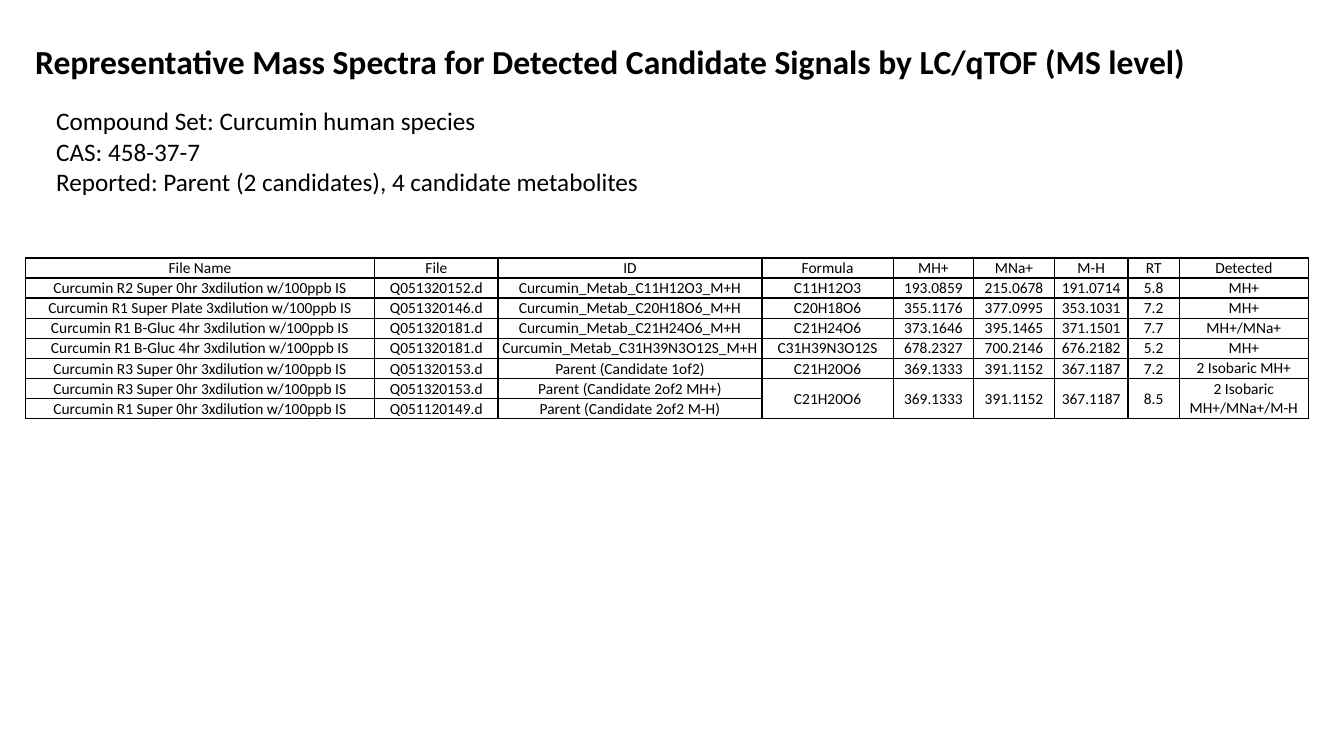
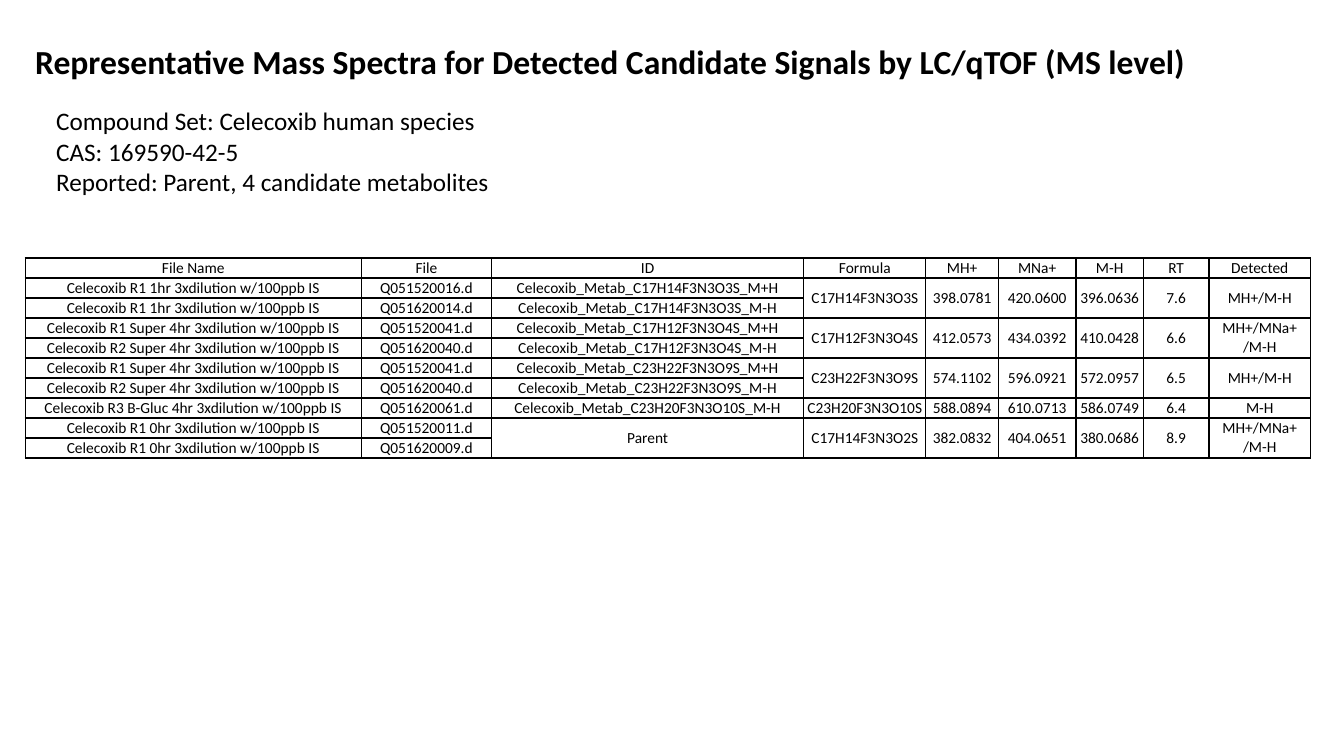
import pptx
import pptx.util
import pptx.dml.color
import pptx.enum.text
import pptx.oxml

Pt = pptx.util.Pt
ALIGN = pptx.enum.text.PP_ALIGN
ANCHOR = pptx.enum.text.MSO_ANCHOR
BLACK = "000000"
FONT = "Calibri"
TITLE = "Representative Mass Spectra for Detected Candidate Signals by LC/qTOF (MS level)"
HEADS = ["File Name", "File", "ID", "Formula", "MH+", "MNa+", "M-H", "RT", "Detected"]
ROW = 14.3
LOOKS = {
    "title": {"size": Pt(24), "name": FONT, "bold": True},
    "facts": {"size": Pt(18), "name": FONT, "bold": False},
    "cell": {"size": Pt(11), "name": FONT, "bold": False},
}
SETS = [
    {
        "drug": "Curcumin",
        "cas": "458-37-7",
        "found": "Parent (2 candidates), 4 candidate metabolites",
        "wide": [249.8, 87.9, 188.7, 93.6, 57.6, 57.6, 52.6, 36.7, 92.2],
        "rows": [
            ["R2 Super 0hr", "Q051320152.d", "Curcumin_Metab_C11H12O3_M+H",
             "C11H12O3", "193.0859", "215.0678", "191.0714", "5.8", "MH+"],
            ["R1 Super Plate", "Q051320146.d", "Curcumin_Metab_C20H18O6_M+H",
             "C20H18O6", "355.1176", "377.0995", "353.1031", "7.2", "MH+"],
            ["R1 B-Gluc 4hr", "Q051320181.d", "Curcumin_Metab_C21H24O6_M+H",
             "C21H24O6", "373.1646", "395.1465", "371.1501", "7.7", "MH+/MNa+"],
            ["R1 B-Gluc 4hr", "Q051320181.d", "Curcumin_Metab_C31H39N3O12S_M+H",
             "C31H39N3O12S", "678.2327", "700.2146", "676.2182", "5.2", "MH+"],
            ["R3 Super 0hr", "Q051320153.d", "Parent (Candidate 1of2)",
             "C21H20O6", "369.1333", "391.1152", "367.1187", "7.2", "2 Isobaric MH+"],
            ["R3 Super 0hr", "Q051320153.d", "Parent (Candidate 2of2 MH+)",
             "C21H20O6", "369.1333", "391.1152", "367.1187", "8.5", "2 Isobaric MH+/MNa+/M-H"],
            ["R1 Super 0hr", "Q051120149.d", "Parent (Candidate 2of2 M-H)"],
        ],
    },
    {
        "drug": "Celecoxib",
        "cas": "169590-42-5",
        "found": "Parent, 4 candidate metabolites",
        "wide": [240.2, 92.9, 223.1, 87.2, 51.8, 55.4, 48.2, 46.8, 72.7],
        "rows": [
            ["R1 1hr", "Q051520016.d", "Celecoxib_Metab_C17H14F3N3O3S_M+H",
             "C17H14F3N3O3S", "398.0781", "420.0600", "396.0636", "7.6", "MH+/M-H"],
            ["R1 1hr", "Q051620014.d", "Celecoxib_Metab_C17H14F3N3O3S_M-H"],
            ["R1 Super 4hr", "Q051520041.d", "Celecoxib_Metab_C17H12F3N3O4S_M+H",
             "C17H12F3N3O4S", "412.0573", "434.0392", "410.0428", "6.6", "MH+/MNa+ /M-H"],
            ["R2 Super 4hr", "Q051620040.d", "Celecoxib_Metab_C17H12F3N3O4S_M-H"],
            ["R1 Super 4hr", "Q051520041.d", "Celecoxib_Metab_C23H22F3N3O9S_M+H",
             "C23H22F3N3O9S", "574.1102", "596.0921", "572.0957", "6.5", "MH+/M-H"],
            ["R2 Super 4hr", "Q051620040.d", "Celecoxib_Metab_C23H22F3N3O9S_M-H"],
            ["R3 B-Gluc 4hr", "Q051620061.d", "Celecoxib_Metab_C23H20F3N3O10S_M-H",
             "C23H20F3N3O10S", "588.0894", "610.0713", "586.0749", "6.4", "M-H"],
            ["R1 0hr", "Q051520011.d", "Parent",
             "C17H14F3N3O2S", "382.0832", "404.0651", "380.0686", "8.9", "MH+/MNa+ /M-H"],
            ["R1 0hr", "Q051620009.d"],
        ],
    },
]


def ink(code):
    return pptx.dml.color.RGBColor.from_string(code)


def write(frame, lines, look, align=ALIGN.LEFT):
    frame.word_wrap = True
    for num, line in enumerate(lines):
        para = frame.paragraphs[0] if num == 0 else frame.add_paragraph()
        para.alignment = align
        run = para.add_run()
        run.text = line
        for key, value in LOOKS[look].items():
            setattr(run.font, key, value)
        run.font.color.rgb = ink(BLACK)


deck = pptx.Presentation()
deck.slide_width, deck.slide_height = Pt(960), Pt(540)

for item in SETS:
    slide = deck.slides.add_slide(deck.slide_layouts[6])
    drug, wide = item["drug"], item["wide"]
    rows = [HEADS]
    for run, *rest in item["rows"]:
        rows.append([f"{drug} {run} 3xdilution w/100ppb IS", *rest])

    table = slide.shapes.add_table(
        len(rows), len(HEADS), Pt(18), Pt(184.3), Pt(sum(wide)), Pt(ROW * len(rows))
    ).table
    table.first_row = table.horz_banding = False
    for col, width in zip(table.columns, wide):
        col.width = Pt(width)
    for line in table.rows:
        line.height = Pt(ROW)

    for top in range(len(rows)):
        for left in range(len(HEADS)):
            cell = table.cell(top, left)
            props = cell._tc.get_or_add_tcPr()
            for side in ("lnL", "lnR", "lnT", "lnB"):
                props.append(pptx.oxml.parse_xml(
                    f'<a:{side} xmlns:a="http://schemas.openxmlformats.org/drawingml/2006/main"'
                    f' w="{Pt(1)}"><a:solidFill><a:srgbClr val="{BLACK}"/></a:solidFill></a:{side}>'
                ))
            cell.fill.background()
            plain = top == 0 or left == len(HEADS) - 1
            pad = Pt(0 if plain else 0.72)
            cell.margin_left = cell.margin_right = cell.margin_top = pad
            cell.margin_bottom = Pt(0)
            if left >= len(rows[top]):
                write(cell.text_frame, [""], "cell")
                continue
            tall = top + 1 < len(rows) and left >= len(rows[top + 1])
            if tall:
                cell.merge(table.cell(top + 1, left))
            cell.vertical_anchor = ANCHOR.MIDDLE if plain or tall else ANCHOR.BOTTOM
            write(cell.text_frame, [rows[top][left]], "cell", ALIGN.CENTER)

    facts = slide.shapes.add_textbox(Pt(33), Pt(72), Pt(536), Pt(94))
    write(facts.text_frame, [
        f"Compound Set: {drug} human species",
        f"CAS: {item['cas']}",
        f"Reported: {item['found']}",
    ], "facts")
    title = slide.shapes.add_textbox(Pt(18), Pt(26), Pt(918), Pt(36))
    write(title.text_frame, [TITLE], "title")

deck.save("out.pptx")
